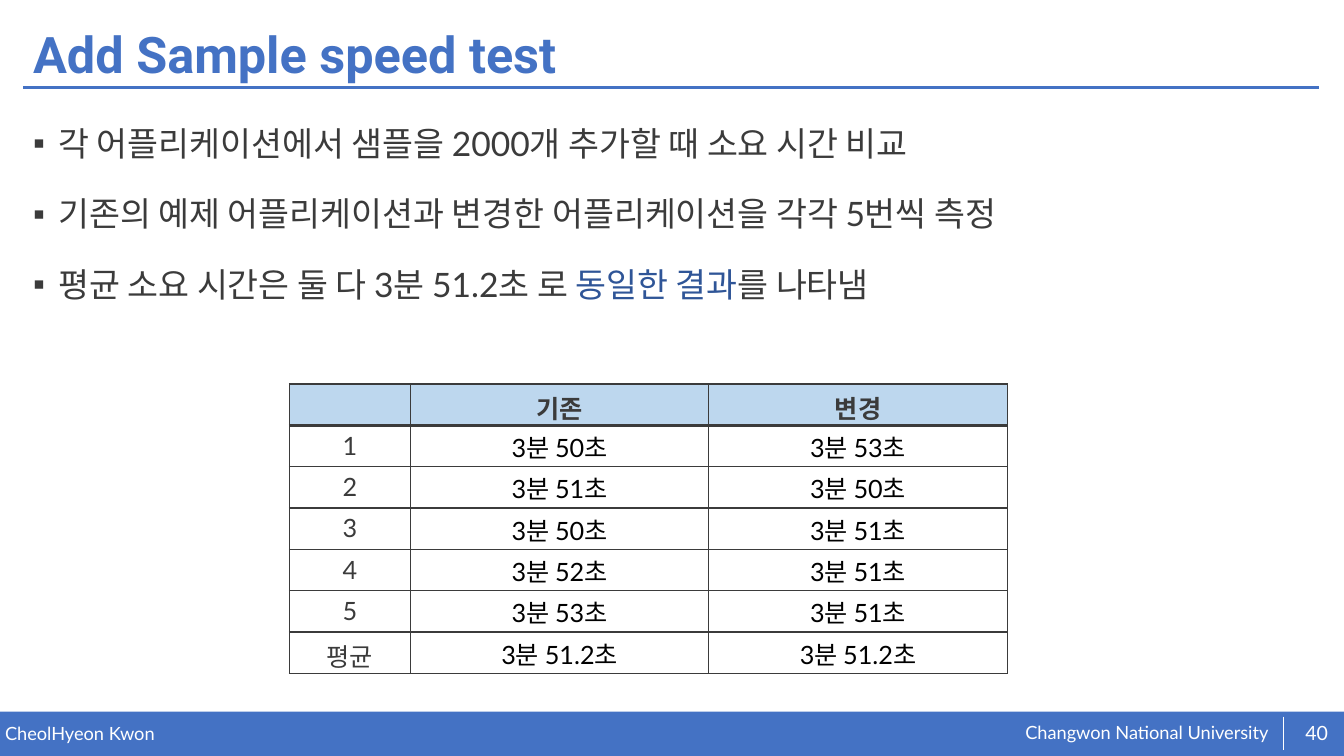
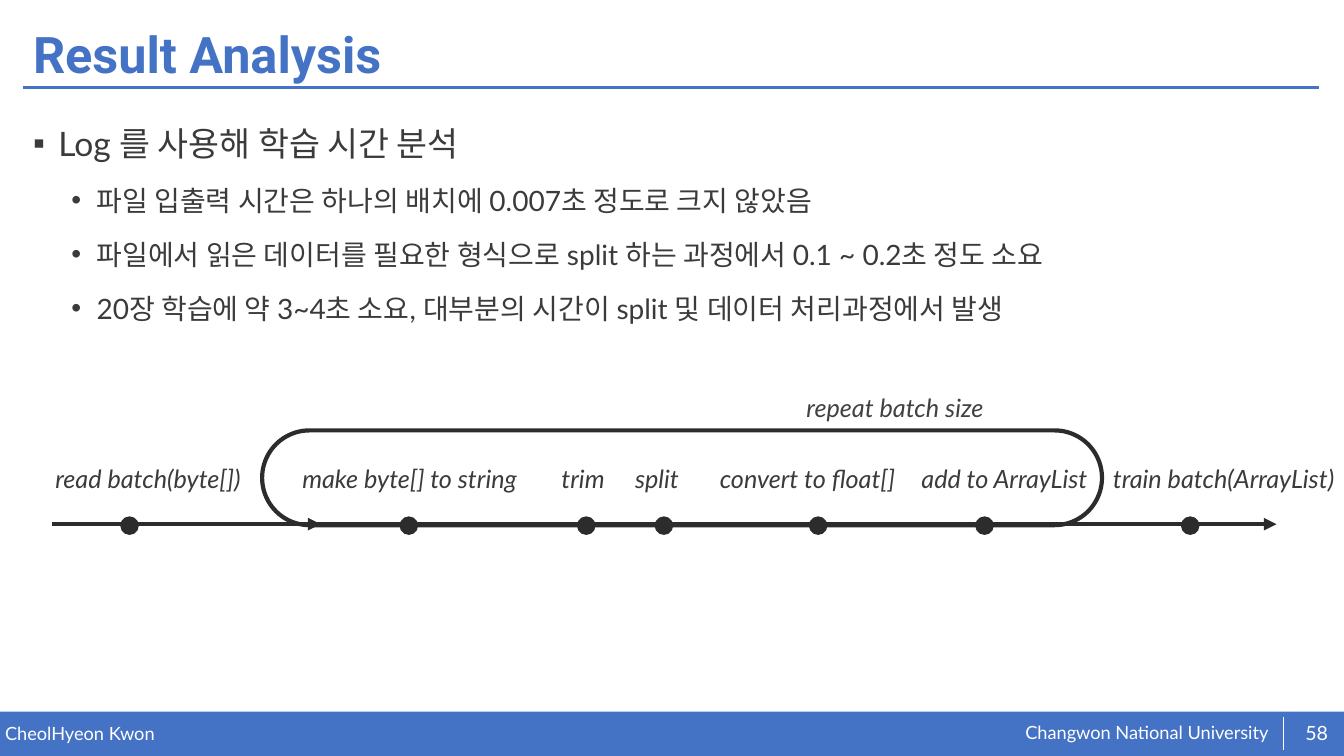
from dataclasses import dataclass
from typing import Any

from lxml import etree
from pptx import Presentation, util as u
from pptx.dml import color as c
from pptx.enum import shapes, text
from pptx.oxml import ns

BLUE, WHITE, GREY, INK = "4472C4", "FFFFFF", "3B3B3B", "2C2C2C"
BLACK, ACCENT, HEADER = "000000", "2F5597", "BDD7EE"
TITLE = {"name": "Roboto", "size": u.Pt(36), "bold": True}
FOOTER = {"name": "Lato", "size": u.Pt(13)}
NUMBER = {"name": "Lato", "size": u.Pt(14)}
CELL = {"name": "Lato", "size": u.Pt(18)}
STEP = CELL | {"italic": True}
NO_INSETS = (0, 0, 0, 0)
BOX_INSETS = (0.1, 0.05, 0.1, 0.05)
LABEL_INSETS = (0.1, 0.05, 0, 0.05)
CELL_INSETS = (0.01, 0.01, 0.01, 0)
SIDES = ("left", "top", "right", "bottom")


@dataclass
class Run:
    words: str
    colour: str = GREY


@dataclass
class Bullet:
    runs: list[Run]
    level: int = 0


@dataclass
class Level:
    symbol: str
    margin: float
    size: int
    before: int


@dataclass
class Step:
    words: str
    left: float
    width: float
    dot: float


LEVELS = [Level("▪", 0.25, 24, 10), Level("•", 0.63, 20, 5)]

COMPARISON = [
    Bullet([Run("각 어플리케이션에서 샘플을 2000개 추가할 때 소요 시간 비교")]),
    Bullet([Run("기존의 예제 어플리케이션과 변경한 어플리케이션을 각각 5번씩 측정")]),
    Bullet([
        Run("평균 소요 시간은 둘 다 3분 51.2초 로 "),
        Run("동일한 결과", ACCENT),
        Run("를 나타냄"),
    ]),
]

TIMES = [
    ("", "기존", "변경"),
    ("1", "3분 50초", "3분 53초"),
    ("2", "3분 51초", "3분 50초"),
    ("3", "3분 50초", "3분 51초"),
    ("4", "3분 52초", "3분 51초"),
    ("5", "3분 53초", "3분 51초"),
    ("평균", "3분 51.2초", "3분 51.2초"),
]

ANALYSIS = [
    Bullet([Run("Log 를 사용해 학습 시간 분석")]),
    Bullet([Run("파일 입출력 시간은 하나의 배치에 0.007초 정도로 크지 않았음")], 1),
    Bullet([Run("파일에서 읽은 데이터를 필요한 형식으로 split 하는 과정에서 0.1 ~ 0.2초 정도 소요")], 1),
    Bullet([Run("20장 학습에 약 3~4초 소요, 대부분의 시간이 split 및 데이터 처리과정에서 발생")], 1),
]

STEPS = [
    Step("read batch(byte[])", 0.45, 2.1, 1.2),
    Step("make byte[] to string", 2.9, 2.37, 3.97),
    Step("trim", 5.47, 0.68, 5.73),
    Step("split", 6.2, 0.82, 6.5),
    Step("convert to float[]", 7.04, 1.98, 8.03),
    Step("add to ArrayList", 9.04, 1.85, 9.68),
    Step("train batch(ArrayList)", 10.94, 2.39, 11.72),
]


def rgb(value: str) -> c.RGBColor:
    return c.RGBColor.from_string(value)


def apply(target: Any, values: dict[str, Any]) -> None:
    for name, value in values.items():
        setattr(target, name, value)


def set_insets(target: Any, insets: tuple) -> None:
    apply(target, {f"margin_{side}": u.Inches(inset) for side, inset in zip(SIDES, insets)})


def add_run(paragraph: Any, run: Run, font: dict[str, Any]) -> None:
    piece = paragraph.add_run()
    piece.text = run.words
    apply(piece.font, font)
    piece.font.color.rgb = rgb(run.colour)


def add_frame(slide: Any, box: tuple, insets: tuple = BOX_INSETS, middle: bool = False) -> Any:
    frame = slide.shapes.add_textbox(*map(u.Inches, box)).text_frame
    frame.word_wrap = True
    set_insets(frame, insets)
    frame.vertical_anchor = text.MSO_ANCHOR.MIDDLE if middle else text.MSO_ANCHOR.TOP
    return frame


def add_label(slide: Any, box: tuple, run: Run, font: dict[str, Any],
              insets: tuple = BOX_INSETS, middle: bool = False) -> Any:
    paragraph = add_frame(slide, box, insets, middle).paragraphs[0]
    add_run(paragraph, run, font)
    return paragraph


def add_shape(slide: Any, kind: Any, box: tuple, fill: str | None = None,
              line: str | None = None, weight: float = 1) -> Any:
    shape = slide.shapes.add_shape(kind, *map(u.Inches, box))
    shape.shadow.inherit = False
    if fill:
        shape.fill.solid()
        shape.fill.fore_color.rgb = rgb(fill)
    else:
        shape.fill.background()
    if line:
        shape.line.color.rgb = rgb(line)
        shape.line.width = u.Pt(weight)
    else:
        shape.line.fill.background()
    return shape


def add_line(slide: Any, ends: tuple, colour: str, weight: float, arrow: bool = False) -> None:
    connector = slide.shapes.add_connector(shapes.MSO_CONNECTOR.STRAIGHT, *map(u.Inches, ends))
    connector.line.color.rgb = rgb(colour)
    connector.line.width = u.Pt(weight)
    if arrow:
        etree.SubElement(connector.line._get_or_add_ln(), ns.qn("a:tailEnd"), type="triangle")
    etree.SubElement(connector._element.spPr, ns.qn("a:effectLst"))


def add_bullets(slide: Any, bullets: list[Bullet]) -> None:
    frame = add_frame(slide, (0.23, 1.01, 12.86, 5.63))
    for index, bullet in enumerate(bullets):
        paragraph = frame.add_paragraph() if index else frame.paragraphs[0]
        level = LEVELS[bullet.level]
        properties = paragraph._p.get_or_add_pPr()
        properties.set("marL", str(u.Inches(level.margin)))
        properties.set("indent", str(u.Inches(-0.25)))
        etree.SubElement(properties, ns.qn("a:buFont"), typeface="Arial")
        etree.SubElement(properties, ns.qn("a:buChar"), char=level.symbol)
        apply(paragraph, {"level": bullet.level, "line_spacing": 1.4})
        if index:
            paragraph.space_before = u.Pt(level.before)
        for run in bullet.runs:
            add_run(paragraph, run, {"name": "Lato", "size": u.Pt(level.size)})


def add_borders(cell: Any, bottom: float) -> None:
    properties = cell._tc.get_or_add_tcPr()
    for side, weight in zip("LRTB", (1, 1, 1, bottom)):
        line = etree.SubElement(properties, ns.qn(f"a:ln{side}"), w=str(u.Pt(weight)))
        fill = etree.SubElement(line, ns.qn("a:solidFill"))
        etree.SubElement(fill, ns.qn("a:srgbClr"), val=GREY)


def add_times(slide: Any) -> None:
    widths, height = (1.2, 2.96, 2.96), 0.41
    box = (2.87, 3.81, sum(widths), height * len(TIMES))
    table = slide.shapes.add_table(len(TIMES), len(widths), *map(u.Inches, box)).table
    apply(table, {"first_row": False, "horz_banding": False})
    for column, width in zip(table.columns, widths):
        column.width = u.Inches(width)
    for row_index, row in enumerate(TIMES):
        heading = row_index == 0
        for column_index, words in enumerate(row):
            cell = table.cell(row_index, column_index)
            measured = not heading and column_index > 0
            add_borders(cell, 2 if heading else 1)
            cell.fill.solid()
            cell.fill.fore_color.rgb = rgb(HEADER if heading else WHITE)
            if measured:
                set_insets(cell, CELL_INSETS)
                cell.vertical_anchor = text.MSO_ANCHOR.MIDDLE
            paragraph = cell.text_frame.paragraphs[0]
            paragraph.alignment = text.PP_ALIGN.CENTER
            if words:
                add_run(paragraph, Run(words, BLACK if measured else GREY), CELL | {"bold": heading})


def add_timeline(slide: Any) -> None:
    axis, dot = 5.2, 0.17
    add_line(slide, (0.52, axis, 12.66, axis), INK, 3, True)
    loop = add_shape(slide, shapes.MSO_SHAPE.ROUNDED_RECTANGLE, (2.6, 4.27, 8.33, 0.94), None, INK, 3)
    loop.adjustments[0] = 0.5
    add_line(slide, (2.89, axis, 3.18, axis), INK, 3, True)
    add_label(slide, (7.9, 3.84, 2.14, 0.4), Run("repeat batch size", "414141"), STEP)
    for step in STEPS:
        add_label(slide, (step.left, 4.55, step.width, 0.4), Run(step.words), STEP, LABEL_INSETS)
        add_shape(slide, shapes.MSO_SHAPE.OVAL, (step.dot, 5.13, dot, dot), INK, INK)


def add_slide(presentation: Any, title: str, number: int, bullets: list[Bullet]) -> Any:
    slide = presentation.slides.add_slide(presentation.slide_layouts[6])
    add_shape(slide, shapes.MSO_SHAPE.RECTANGLE, (0, 7.06, 13.33, 0.44), BLUE)
    add_label(slide, (10.17, 7.16, 2.5, 0.23), Run("Changwon National University", WHITE), FOOTER, NO_INSETS)
    add_label(slide, (0.05, 7.17, 6.55, 0.22), Run("CheolHyeon Kwon", WHITE), FOOTER, NO_INSETS)
    add_line(slide, (0.23, 0.87, 13.08, 0.87), BLUE, 2)
    add_line(slide, (12.73, 7.11, 12.73, 7.44), WHITE, 0.5)
    heading = add_label(slide, (0.23, 0.18, 12.86, 0.77), Run(title, BLUE), TITLE, middle=True)
    heading.line_spacing = 0.9
    page = add_label(slide, (12.82, 7.07, 0.48, 0.4), Run(str(number), WHITE), NUMBER, NO_INSETS, True)
    page.alignment = text.PP_ALIGN.CENTER
    add_bullets(slide, bullets)
    return slide


def main() -> None:
    presentation = Presentation()
    apply(presentation, {"slide_width": u.Inches(13.33), "slide_height": u.Inches(7.5)})
    add_times(add_slide(presentation, "Add Sample speed test", 40, COMPARISON))
    add_timeline(add_slide(presentation, "Result Analysis", 58, ANALYSIS))
    presentation.save("out.pptx")


if __name__ == "__main__":
    main()
